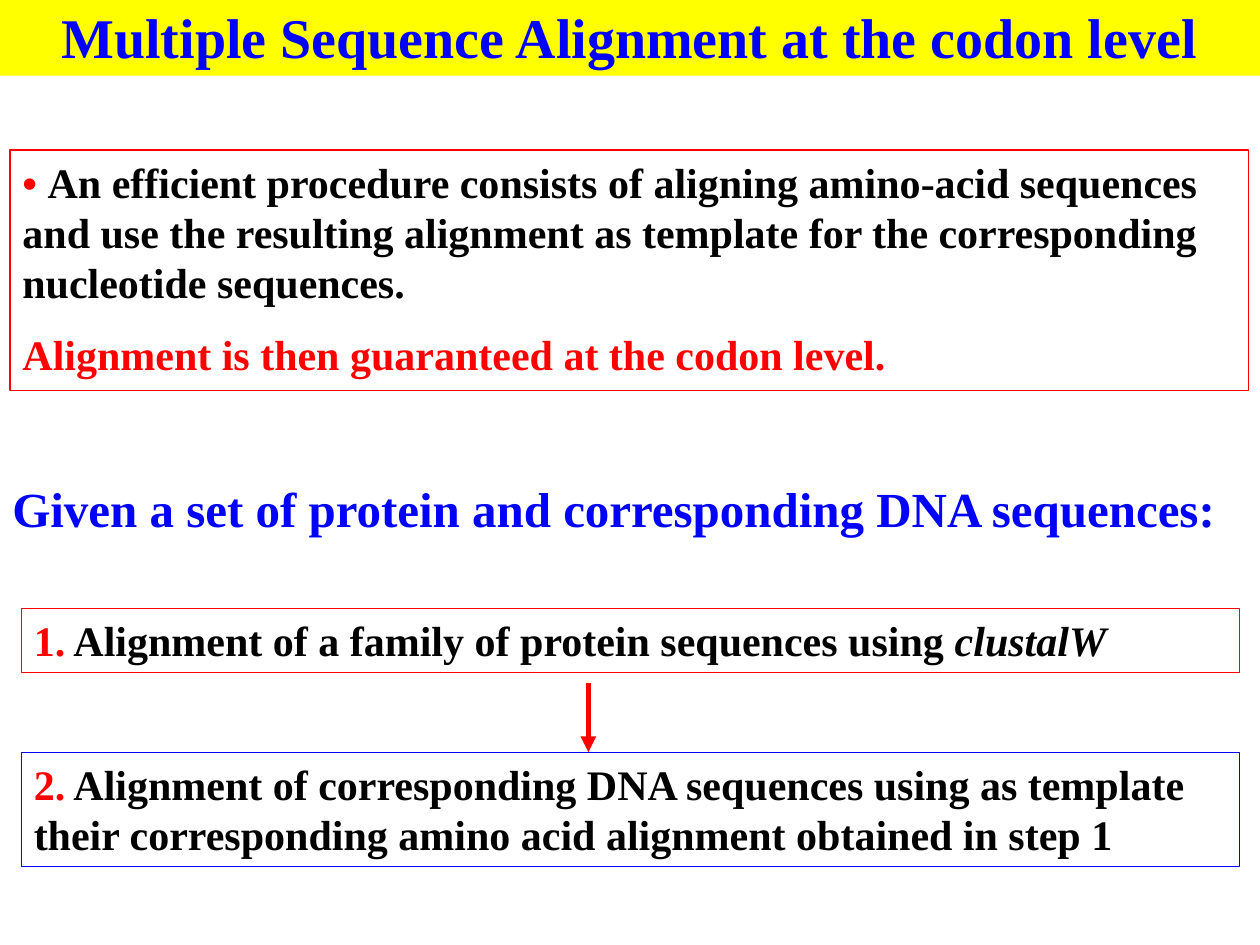
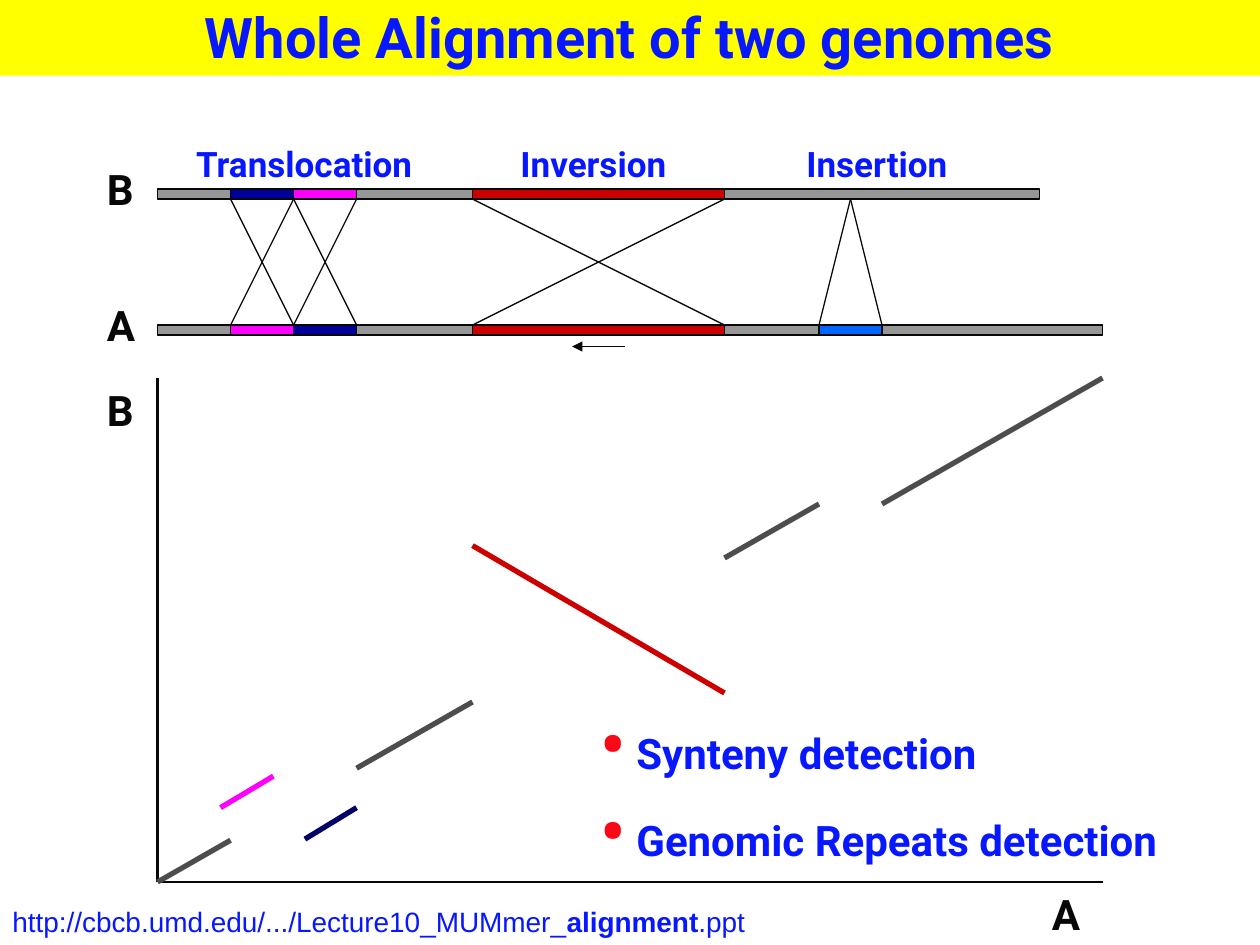
from lxml import etree
from pptx import Presentation
from pptx import util as u
from pptx.dml.color import RGBColor
from pptx.enum import shapes, text
from pptx.oxml.ns import qn

YELLOW = RGBColor(0xFF, 0xFF, 0x00)
BLUE = RGBColor(0x00, 0x00, 0xFF)
RED = RGBColor(0xFF, 0x00, 0x00)
BLACK = RGBColor(0x00, 0x00, 0x00)
INK = RGBColor(0x08, 0x08, 0x08)
ROYAL = RGBColor(0x07, 0x17, 0xFF)
BULLET_RED = RGBColor(0xFB, 0x08, 0x17)
GREY = RGBColor(0x96, 0x96, 0x96)
DARK_GREY = RGBColor(0x4D, 0x4D, 0x4D)
NAVY = RGBColor(0x00, 0x00, 0x99)
DEEP_NAVY = RGBColor(0x00, 0x00, 0x66)
MAGENTA = RGBColor(0xFF, 0x00, 0xFF)
CRIMSON = RGBColor(0xCC, 0x00, 0x00)
AZURE = RGBColor(0x00, 0x66, 0xFF)


class Deck:
    """Holds the style and the current slide."""

    def __init__(self):
        self.prs = Presentation()
        self.prs.slide_width = u.Inches(10)
        self.prs.slide_height = u.Inches(7.5)

    def slide(self, title, font, color):
        self.font = font
        self.s = self.prs.slides.add_slide(self.prs.slide_layouts[6])
        band = self.rect(0, -0.03, 10, 0.63, fill=YELLOW)
        self.put_text(band, [[(title, color)]], size=32, center=True)

    def rect(self, x, y, w, h, fill=None, line=None):
        sp = self.s.shapes.add_shape(shapes.MSO_SHAPE.RECTANGLE,
                                     *map(u.Inches, (x, y, w, h)))
        sp.shadow.inherit = False
        if fill is None:
            sp.fill.background()
        else:
            sp.fill.solid()
            sp.fill.fore_color.rgb = fill
        if line is None:
            sp.line.fill.background()
        else:
            sp.line.color.rgb = line
            sp.line.width = u.Pt(0.75)
        return sp

    def label(self, x, y, w, h, paragraphs, **style):
        sp = self.s.shapes.add_textbox(*map(u.Inches, (x, y, w, h)))
        return self.put_text(sp, paragraphs, **style)

    def put_text(self, sp, paragraphs, size=24, center=False, bold=True, gap=12):
        """Each paragraph is a list of runs: (words, colour, own settings)."""
        tf = sp.text_frame
        tf.word_wrap = True
        tf.vertical_anchor = text.MSO_ANCHOR.TOP
        for i, runs in enumerate(paragraphs):
            p = tf.add_paragraph() if i else tf.paragraphs[0]
            p.alignment = text.PP_ALIGN.CENTER if center else text.PP_ALIGN.LEFT
            if i:
                p.space_before = u.Pt(gap)
            for words, color, *own in runs:
                r = p.add_run()
                r.text = words
                r.font.name = self.font
                r.font.size = u.Pt(size)
                r.font.bold = bold
                r.font.color.rgb = color
                settings = own[0] if own else {}
                if "size" in settings:
                    r.font.size = u.Pt(settings["size"])
                if "bold" in settings:
                    r.font.bold = settings["bold"]
                if "italic" in settings:
                    r.font.italic = settings["italic"]
        return tf

    def line(self, x1, y1, x2, y2, color=INK, width=0.75, arrow=False):
        ln = self.s.shapes.add_connector(shapes.MSO_CONNECTOR.STRAIGHT,
                                         *map(u.Inches, (x1, y1, x2, y2)))
        ln.line.color.rgb = color
        ln.line.width = u.Pt(width)
        props = ln._element.spPr
        if arrow:
            etree.SubElement(props.find(qn("a:ln")), qn("a:tailEnd"), type="triangle")
        etree.SubElement(props, qn("a:effectLst"))


def codon_slide(d):
    d.slide("Multiple Sequence Alignment at the codon level", "Times New Roman", BLUE)

    # Principle
    d.put_text(d.rect(0.08, 1.19, 9.83, 1.91, line=RED), [
        [("• ", RED),
         ("An efficient procedure consists of aligning amino-acid sequences and use "
          "the resulting alignment as template for the corresponding nucleotide "
          "sequences.", BLACK)],
        [("Alignment is then guaranteed at the codon level.", RED)]])
    d.label(0, 3.75, 10, 0.57,
            [[("Given a set of protein and corresponding DNA sequences:", BLUE)]], size=28)

    # Two steps
    d.put_text(d.rect(0.17, 4.83, 9.67, 0.51, line=RED), [
        [("1.", RED),
         (" Alignment of a family of protein sequences using ", BLACK),
         ("clustalW", BLACK, {"italic": True})]])
    d.put_text(d.rect(0.17, 5.97, 9.67, 0.91, line=BLUE), [
        [("2.", RED),
         (" Alignment of corresponding DNA sequences using as template their "
          "corresponding amino acid alignment obtained in step 1", BLACK)]])
    d.line(4.67, 5.42, 4.67, 5.97, RED, 3, arrow=True)


def genome_slide(d):
    d.slide("Whole Alignment of two genomes", "Roboto", ROYAL)
    bar, top_b, top_a = 0.08, 1.5, 2.58

    # Genome bars: left, width, colour of each stretch
    genomes = {
        top_b: [(1.25, 7, GREY), (1.83, 0.5, NAVY), (2.33, 0.5, MAGENTA),
                (3.75, 2, CRIMSON)],
        top_a: [(1.25, 7, GREY), (1.83, 0.5, MAGENTA), (2.33, 0.5, NAVY),
                (3.75, 2, CRIMSON), (6.5, 0.5, AZURE), (7, 1.75, GREY)]}
    for top, stretches in genomes.items():
        for left, width, color in stretches:
            d.rect(left, top, width, bar, fill=color, line=INK)

    # Links from genome B to genome A
    for x_b, x_a in [(1.83, 2.33), (2.33, 2.83), (2.33, 1.83), (2.83, 2.33),
                     (3.75, 5.75), (5.75, 3.75), (6.75, 7), (6.75, 6.5)]:
        d.line(x_b, top_b + bar, x_a, top_a)
    d.line(4.96, 2.75, 4.54, 2.75, arrow=True)

    # Names of the rearrangements
    for name, left, width in [("Translocation", 1.25, 2.33), ("Inversion", 3.75, 1.92),
                              ("Insertion", 6.25, 1.42)]:
        d.label(left, 1.08, width, 0.43, [[(name, ROYAL)]], size=20, center=True)

    # Dot plot axes and genome letters
    d.line(1.25, 7, 8.75, 7, width=1.5)
    d.line(1.25, 7, 1.25, 3, width=1.5)
    for letter, x, y in [("B", 0.75, 1.25), ("A", 0.75, 2.33),
                         ("B", 0.75, 3), ("A", 8.25, 7)]:
        d.label(x, y, 0.5, 0.5, [[(letter, INK)]])

    # Matches on the main diagonal, which rises 4 over a run of 7
    def diagonal(x):
        return 7 - (x - 1.25) * 4 / 7

    for start, end, shift in [(1.25, 1.83, 0), (2.83, 3.75, 0), (5.75, 6.5, 0),
                              (7, 8.75, 0.5)]:
        d.line(start, diagonal(start - shift), end, diagonal(end - shift), DARK_GREY, 3)

    # Rearranged matches
    d.line(5.75, 5.5, 3.75, 4.33, CRIMSON, 3)
    d.line(1.75, 6.41, 2.17, 6.16, MAGENTA, 3)
    d.line(2.42, 6.66, 2.83, 6.41, DEEP_NAVY, 3)

    # Uses and source
    uses = ["Synteny detection", "Genomic Repeats detection"]
    tf = d.label(4.67, 5.5, 5.25, 1.43,
                 [[("•", BULLET_RED, {"size": 40}), (" ", BLACK), (use, ROYAL)]
                  for use in uses], gap=23)
    tf.paragraphs[1].line_spacing = 0.5
    d.font = "Arial"
    d.label(0, 7.13, 6.5, 0.37,
            [[("http://cbcb.umd.edu/.../Lecture10_MUMmer_", ROYAL),
              ("alignment", ROYAL, {"bold": True}), (".ppt", ROYAL)]],
            size=16, bold=False)


def main():
    d = Deck()
    codon_slide(d)
    genome_slide(d)
    d.prs.save("out.pptx")


if __name__ == "__main__":
    main()
